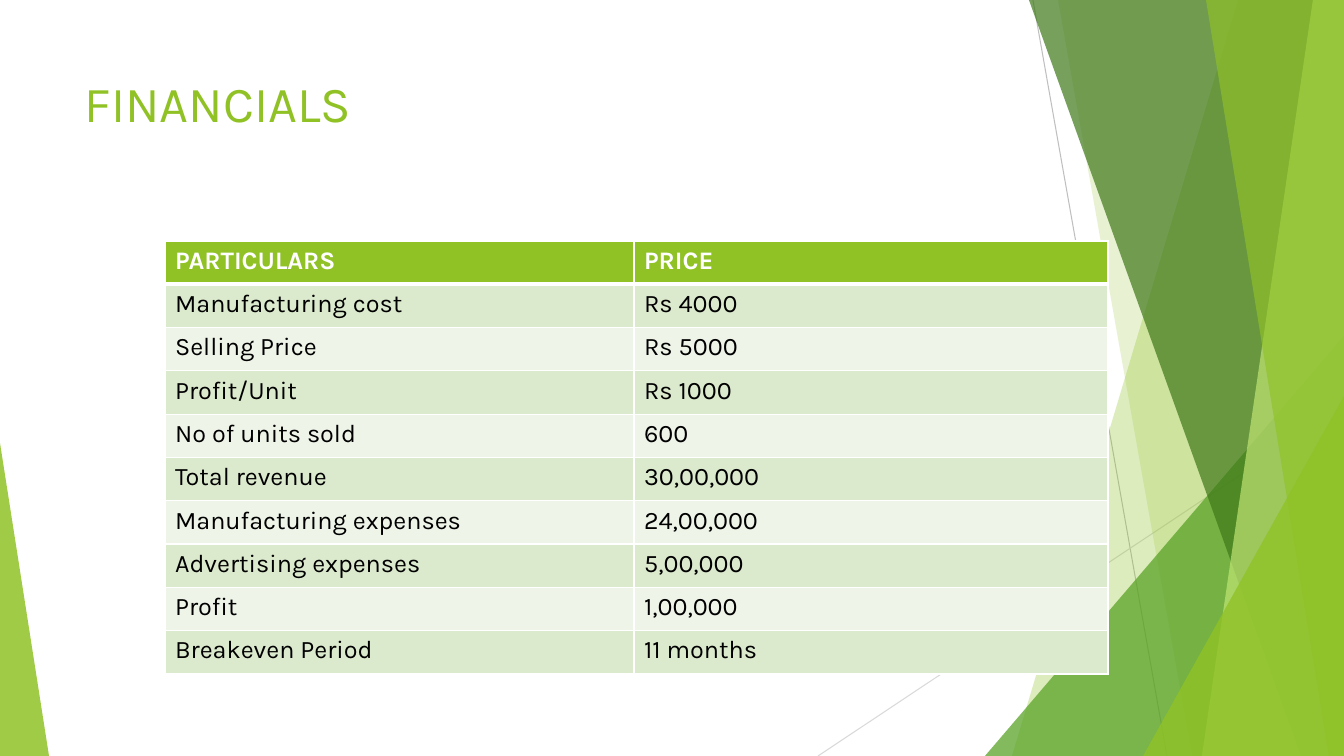
from lxml.etree import SubElement
from pptx import Presentation
from pptx.dml.color import RGBColor
from pptx.enum.shapes import MSO_CONNECTOR, MSO_SHAPE
from pptx.enum.text import MSO_ANCHOR
from pptx.oxml.ns import qn
from pptx.util import Pt

PX = 914400 / 100.8
W, H = 1344, 756
FONT = "Karla"
GREEN, WHITE = "90C226", "FFFFFF"
ROW_FILLS = ("DBE9CD", "EEF4E8")

TITLE = "FINANCIALS"
ROWS = [
    ("PARTICULARS", "PRICE"),
    ("Manufacturing cost", "Rs 4000"),
    ("Selling Price", "Rs 5000"),
    ("Profit/Unit", "Rs 1000"),
    ("No of units sold", "600"),
    ("Total revenue", "30,00,000"),
    ("Manufacturing expenses", "24,00,000"),
    ("Advertising expenses", "5,00,000"),
    ("Profit", "1,00,000"),
    ("Breakeven Period", "11 months"),
]
TABLE_LEFT, TABLE_TOP, TABLE_HEIGHT = 165, 241, 433
COLUMNS = (469, 474)

LINES = [((1033, 0), (1167, H), "BFBFBF"), ((W, 406), (818, H), "D9D9D9")]
FACETS = [
    ("band", 1238, 1012, GREEN, 30),
    ("band", 1058, 1192, GREEN, 20),
    ("triangle", (985, 336, W), 1, "54A021", 72),
    ("band", 1029, 1301, "3F7819", 70),
    ("band", 1313, 1202, "C0E474", 70),
    ("band", 1206, 1329, GREEN, 65),
    ("triangle", (1143, 396, W), 1, GREEN, 80),
    ("triangle", (0, 443, 49), 0, GREEN, 85),
]


def px(n):
    return round(n * PX)


def rgb(value):
    return RGBColor.from_string(value)


def write(tf, text, size=18, color="000000", bold=False):
    p = tf.paragraphs[0]
    r = p.add_run()
    r.text = text
    r.font.name = FONT
    r.font.size = Pt(size)
    r.font.bold = bold
    r.font.color.rgb = rgb(color)


def paint(sp, color, alpha):
    sp.shadow.inherit = False
    sp.fill.solid()
    sp.fill.fore_color.rgb = rgb(color)
    sp.line.fill.background()
    clr = sp.fill._xPr.find(qn("a:solidFill"))[0]
    SubElement(clr, qn("a:alpha"), val=str(alpha * 1000))


def add_band(s, top_x, bottom_x):
    fb = s.shapes.build_freeform(top_x, 0, scale=PX)
    fb.add_line_segments([(W, 0), (W, H), (bottom_x, H)], close=True)
    return fb.convert_to_shape()


def add_triangle(s, bounds, apex):
    left, top, right = bounds
    sp = s.shapes.add_shape(MSO_SHAPE.ISOSCELES_TRIANGLE, px(left), px(top),
                            px(right - left), px(H - top))
    sp.adjustments[0] = apex
    return sp


def add_border(cell, side, width):
    ln = SubElement(cell._tc.get_or_add_tcPr(), qn("a:" + side), w=str(Pt(width)))
    fill = SubElement(ln, qn("a:solidFill"))
    SubElement(fill, qn("a:srgbClr"), val=WHITE)


def add_backdrop(s):
    for start, end, color in LINES:
        line = s.shapes.add_connector(MSO_CONNECTOR.STRAIGHT, *map(px, start + end))
        line.line.color.rgb = rgb(color)
        line.line.width = Pt(0.75)
        SubElement(line._element.spPr, qn("a:effectLst"))
    builders = {"band": add_band, "triangle": add_triangle}
    for kind, first, second, color, alpha in FACETS:
        paint(builders[kind](s, first, second), color, alpha)


def add_title(s):
    tf = s.shapes.add_textbox(px(75), px(67), px(948), px(145)).text_frame
    tf.word_wrap = True
    tf.vertical_anchor = MSO_ANCHOR.TOP
    write(tf, TITLE, size=36, color=GREEN)


def add_price_table(s):
    table = s.shapes.add_table(len(ROWS), len(COLUMNS), px(TABLE_LEFT), px(TABLE_TOP),
                               px(sum(COLUMNS)), px(TABLE_HEIGHT)).table
    for column, width in zip(table.columns, COLUMNS):
        column.width = px(width)
    for i, row in enumerate(ROWS):
        header = i == 0
        for j, text in enumerate(row):
            cell = table.cell(i, j)
            write(cell.text_frame, text, color=WHITE if header else "000000", bold=header)
            for side in ("lnL", "lnR", "lnT", "lnB"):
                thick = (side == "lnB" and header) or (side == "lnT" and i == 1)
                add_border(cell, side, 3 if thick else 1)
            cell.fill.solid()
            cell.fill.fore_color.rgb = rgb(GREEN if header else ROW_FILLS[(i - 1) % 2])


def main():
    prs = Presentation()
    prs.slide_width, prs.slide_height = px(W), px(H)
    s = prs.slides.add_slide(prs.slide_layouts[6])
    add_backdrop(s)
    add_title(s)
    add_price_table(s)
    prs.save("out.pptx")


if __name__ == "__main__":
    main()
